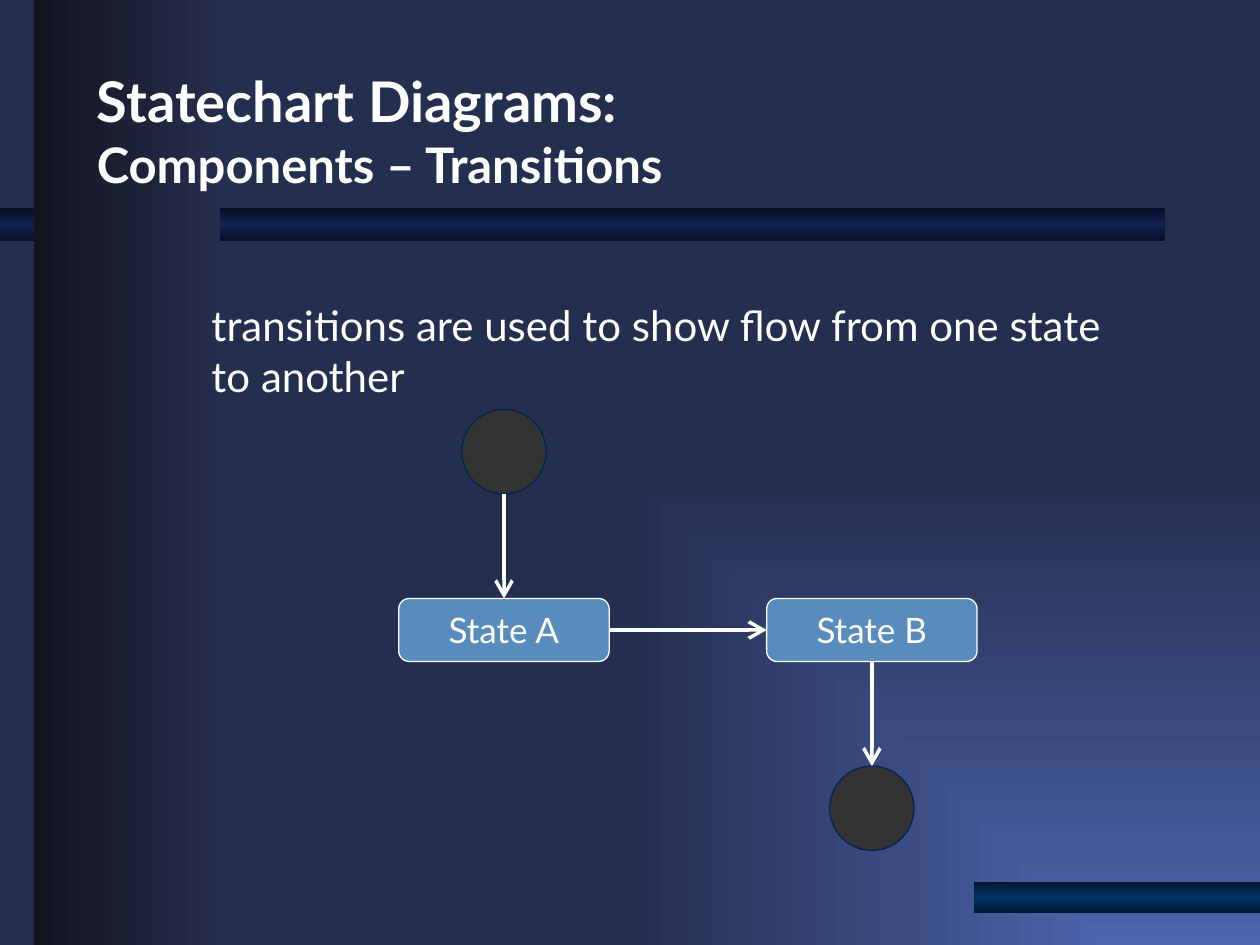
from dataclasses import dataclass

from lxml import etree
from pptx import Presentation
from pptx import util as u
from pptx.dml.color import RGBColor
from pptx.enum import shapes, text
from pptx.oxml.ns import qn


@dataclass(frozen=True)
class Theme:
    font: str = "Lato"
    white: str = "FFFFFF"
    navy: str = "00264C"
    state: str = "598BBD"
    marker: str = "333333"
    background: tuple = ((0, "4D63AB"), (100, "242E4F"))
    title_bar: tuple = ((0, "090F26"), (50, "142052"), (100, "090F26"))
    side_bar: tuple = ((0, "11141F"), (100, "262D4C"))
    footer_bar: tuple = ((0, "00182F"), (50, "003366"), (100, "00182F"))
    title_size: int = 32
    subtitle_size: int = 28
    body_size: int = 24
    state_size: int = 20
    outline: float = 0.75
    arrow: float = 2


class SlideBuilder:
    def __init__(self, slide, theme):
        self.slide = slide
        self.theme = theme

    def gradient(self, fill, parent, stops, angle=None):
        fill.solid()
        solid = next(parent.iter(qn("a:solidFill")))
        gradient = etree.Element(qn("a:gradFill"), rotWithShape="1")
        stop_list = etree.SubElement(gradient, qn("a:gsLst"))
        for position, color in stops:
            stop = etree.SubElement(stop_list, qn("a:gs"), pos=str(position * 1000))
            etree.SubElement(stop, qn("a:srgbClr"), val=color)
        if angle is None:
            route = etree.SubElement(gradient, qn("a:path"), attrib={"path": "rect"})
            etree.SubElement(route, qn("a:fillToRect"), l="100000", t="100000")
        else:
            etree.SubElement(gradient, qn("a:lin"), ang=str(angle * 60000), scaled="0")
        solid.getparent().replace(solid, gradient)

    def background(self, stops):
        self.gradient(self.slide.background.fill, self.slide._element, stops)

    def shape(self, kind, box):
        shape = self.slide.shapes.add_shape(kind, *map(u.Inches, box))
        shape.shadow.inherit = False
        return shape

    def bar(self, box, stops, angle):
        shape = self.shape(shapes.MSO_SHAPE.RECTANGLE, box)
        self.gradient(shape.fill, shape._element.spPr, stops, angle)
        shape.line.fill.background()

    def paint(self, shape, fill, line):
        shape.fill.solid()
        shape.fill.fore_color.rgb = RGBColor.from_string(fill)
        shape.line.color.rgb = RGBColor.from_string(line)
        shape.line.width = u.Pt(self.theme.outline)

    def format_run(self, run, size, bold=False):
        run.font.size = u.Pt(size)
        run.font.name = self.theme.font
        run.font.bold = bold
        run.font.color.rgb = RGBColor.from_string(self.theme.white)

    def textbox(self, box, content, sizes, anchor=text.MSO_ANCHOR.TOP, bold=False):
        frame = self.slide.shapes.add_textbox(*map(u.Inches, box)).text_frame
        frame.word_wrap = True
        frame.vertical_anchor = anchor
        paragraph = frame.paragraphs[0]
        paragraph.text = content
        for run, size in zip(paragraph.runs, sizes):
            self.format_run(run, size, bold)

    def state(self, box, label):
        shape = self.shape(shapes.MSO_SHAPE.ROUNDED_RECTANGLE, box)
        self.paint(shape, self.theme.state, self.theme.white)
        frame = shape.text_frame
        frame.text = label
        frame.word_wrap = False
        frame.vertical_anchor = text.MSO_ANCHOR.MIDDLE
        paragraph = frame.paragraphs[0]
        paragraph.alignment = text.PP_ALIGN.CENTER
        self.format_run(paragraph.runs[0], self.theme.state_size)
        return shape

    def marker(self, box):
        shape = self.shape(shapes.MSO_SHAPE.OVAL, box)
        self.paint(shape, self.theme.marker, self.theme.navy)

    def arrow(self, start, end, begin_join=None, end_join=None):
        connector = self.slide.shapes.add_connector(
            shapes.MSO_CONNECTOR.STRAIGHT, *map(u.Inches, start + end))
        if begin_join:
            connector.begin_connect(*begin_join)
        if end_join:
            connector.end_connect(*end_join)
        connector.line.color.rgb = RGBColor.from_string(self.theme.white)
        connector.line.width = u.Pt(self.theme.arrow)
        etree.SubElement(connector.line._get_or_add_ln(), qn("a:tailEnd"),
                         type="arrow", w="lg", len="lg")
        etree.SubElement(connector._element.spPr, qn("a:effectLst"))


def main():
    theme = Theme()
    presentation = Presentation()
    presentation.slide_width = u.Inches(10)
    presentation.slide_height = u.Inches(7.5)
    slide = presentation.slides.add_slide(presentation.slide_layouts[6])
    builder = SlideBuilder(slide, theme)

    builder.background(theme.background)
    builder.bar((0, 1.65, 9.25, 0.26), theme.title_bar, 90)
    builder.bar((0.27, 0, 1.48, 7.5), theme.side_bar, 0)
    builder.bar((7.73, 7, 2.27, 0.25), theme.footer_bar, 90)

    builder.textbox((0.67, 0.6, 9.03, 0.98),
                    "Statechart Diagrams:\vComponents – Transitions",
                    (theme.title_size, theme.subtitle_size),
                    text.MSO_ANCHOR.BOTTOM, bold=True)
    builder.textbox((1.58, 2.33, 7.58, 0.9),
                    "transitions are used to show flow from one state to another",
                    (theme.body_size,))

    state_width, state_height, diameter = 1.67, 0.5, 0.67
    center_a, center_b = 4, 6.92
    state_top, start_top, final_top = 4.75, 3.25, 6.08
    state_bottom = state_top + state_height
    state_middle = state_top + state_height / 2

    state_a, state_b = (
        builder.state((center - state_width / 2, state_top, state_width, state_height), label)
        for center, label in ((center_a, "State A"), (center_b, "State B")))
    for center, top in ((center_a, start_top), (center_b, final_top)):
        builder.marker((center - diameter / 2, top, diameter, diameter))

    builder.arrow((center_a, start_top + diameter), (center_a, state_top),
                  end_join=(state_a, 0))
    builder.arrow((center_b, state_bottom), (center_b, final_top),
                  begin_join=(state_b, 2))
    builder.arrow((center_a + state_width / 2, state_middle),
                  (center_b - state_width / 2, state_middle),
                  begin_join=(state_a, 3), end_join=(state_b, 1))

    presentation.save("out.pptx")


if __name__ == "__main__":
    main()
